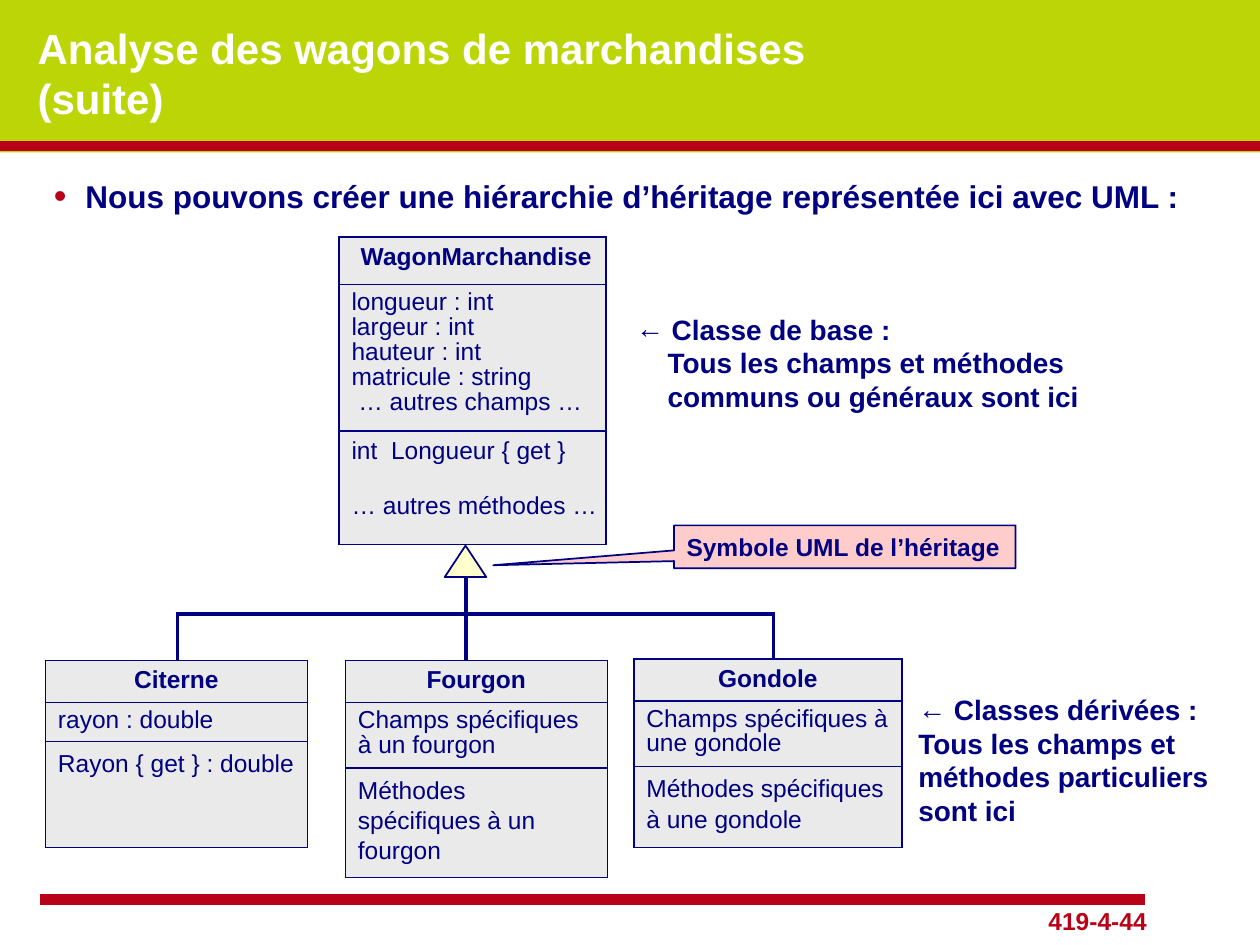
from lxml import etree
from pptx import Presentation, util as u
from pptx.dml.color import RGBColor
from pptx.enum import shapes, text
from pptx.oxml.ns import qn

COLORS = {
    "green": "BCD507", "white": "FFFFFF", "red": "B90117", "navy": "000080",
    "grey": "EAEAEA", "yellow": "FFFFCC", "pink": "FFCCCC", "black": "000000",
}
FONT = "Arial"
INSETS = (0.1, 0.05, 0.1, 0.05)
LEFT, CENTER, RIGHT = text.PP_ALIGN.LEFT, text.PP_ALIGN.CENTER, text.PP_ALIGN.RIGHT


def rgb(name):
    return RGBColor.from_string(COLORS[name])


def add_color(parent, name):
    etree.SubElement(parent, qn("a:srgbClr"), val=COLORS[name])


class SlidePainter:
    def __init__(self, page):
        self.page = page

    def background(self, color):
        fill = self.page.background.fill
        fill.solid()
        fill.fore_color.rgb = rgb(color)

    def span(self, para, words, size, bold=False, color="navy"):
        span = para.add_run()
        span.text = words
        font = span.font
        font.name, font.size, font.bold = FONT, u.Pt(size), bold
        font.color.rgb = rgb(color)
        return span

    def bullet(self, para, char, indent=0, color="navy", percent=100):
        props = para._p.get_or_add_pPr()
        props.set("marL", str(u.Inches(indent)))
        props.set("indent", str(-u.Inches(indent)))
        add_color(etree.SubElement(props, qn("a:buClr")), color)
        etree.SubElement(props, qn("a:buSzPct"), val=str(percent * 1000))
        etree.SubElement(props, qn("a:buFont"), typeface=FONT)
        etree.SubElement(props, qn("a:buChar"), char=char)

    def frame(self, owner, insets=INSETS):
        frame = owner.text_frame
        frame.word_wrap = True
        (frame.margin_left, frame.margin_top,
         frame.margin_right, frame.margin_bottom) = map(u.Inches, insets)
        return frame

    def textbox(self, place, lines, size, bold=True, color="navy", align=LEFT,
                anchor=text.MSO_ANCHOR.TOP, insets=INSETS):
        box = self.page.shapes.add_textbox(*map(u.Inches, place))
        frame = self.frame(box, insets)
        frame.vertical_anchor = anchor
        for number, line in enumerate(lines):
            para = frame.add_paragraph() if number else frame.paragraphs[0]
            para.alignment = align
            self.span(para, line, size, bold, color)
        return frame.paragraphs

    def shape(self, kind, place, fill, line=None):
        shape = self.page.shapes.add_shape(kind, *map(u.Inches, place))
        shape.shadow.inherit = False
        shape.fill.solid()
        shape.fill.fore_color.rgb = rgb(fill)
        if line:
            shape.line.color.rgb = rgb(line)
            shape.line.width = u.Pt(1)
        else:
            shape.line.fill.background()
        return shape

    def line(self, start, end, width, color="navy"):
        line = self.page.shapes.add_connector(
            shapes.MSO_CONNECTOR.STRAIGHT, *map(u.Inches, start + end))
        line.line.color.rgb = rgb(color)
        line.line.width = u.Pt(width)
        etree.SubElement(line._element.spPr, qn("a:effectLst"))

    def borders(self, cell):
        props = cell._tc.get_or_add_tcPr()
        for index, side in enumerate(("lnL", "lnR", "lnT", "lnB")):
            edge = etree.Element(qn("a:" + side), w=str(u.Pt(1)))
            add_color(etree.SubElement(edge, qn("a:solidFill")), "navy")
            props.insert(index, edge)

    def uml_class(self, place, heights, name, fields, methods,
                  right=0.1, method_spacing=1.1, method_gap=0):
        """Draw a UML class as a table of name, fields and methods."""
        left, top, width = place
        table = self.page.shapes.add_table(
            3, 1, *map(u.Inches, (left, top, width, sum(heights)))).table
        table.first_row = table.horz_banding = False
        parts = (([name], CENTER, 1, 0), (fields, LEFT, 0.9, 0),
                 (methods, LEFT, method_spacing, method_gap))
        for row, (lines, align, spacing, gap) in enumerate(parts):
            table.rows[row].height = u.Inches(heights[row])
            cell = table.cell(row, 0)
            cell.fill.solid()
            cell.fill.fore_color.rgb = rgb("grey")
            self.borders(cell)
            cell.margin_left, cell.margin_right = u.Inches(0.1), u.Inches(right)
            cell.margin_top = cell.margin_bottom = u.Inches(0.05)
            for number, line in enumerate(lines):
                para = (cell.text_frame.add_paragraph() if number
                        else cell.text_frame.paragraphs[0])
                para.alignment, para.line_spacing = align, spacing
                if number:
                    para.space_before = u.Pt(gap)
                self.span(para, line, 14, bold=row == 0)

    def text_shadow(self, span):
        effects = etree.Element(qn("a:effectLst"))
        shadow = etree.SubElement(effects, qn("a:outerShdw"), dist="38100",
                                  dir="2700000", algn="tl")
        add_color(shadow, "black")
        span.font._element.find(qn("a:solidFill")).addnext(effects)


def main():
    deck = Presentation()
    deck.slide_width, deck.slide_height = u.Inches(10), u.Inches(7.5)
    page = deck.slides.add_slide(deck.slide_layouts[6])
    painter = SlidePainter(page)
    kinds = shapes.MSO_SHAPE

    painter.background("green")
    painter.shape(kinds.RECTANGLE, (0, 1.21, 10, 6.29), "white")
    painter.textbox((7.62, 7.14, 1.58, 0.33), ["419-4-44"], 14,
                    color="red", align=RIGHT)
    painter.line((0.32, 7.14), (9.09, 7.14), 6, "red")
    painter.line((0, 1.16), (10, 1.16), 6, "red")

    title = painter.textbox(
        (0.2, 0.18, 8.52, 0.79),
        ["Analyse des wagons de marchandises", "(suite)"], 24,
        color="white", anchor=text.MSO_ANCHOR.MIDDLE)
    for para in title:
        painter.text_shadow(para.runs[0])

    intro = painter.textbox(
        (0.33, 1.36, 9.31, 0.4),
        ["Nous pouvons créer une hiérarchie d’héritage représentée ici avec UML :"], 18)
    painter.bullet(intro[0], "•", 0.25, "red", 115)

    painter.uml_class(
        (2.69, 1.88, 2.12), (0.38, 1.16, 0.9), "WagonMarchandise",
        ["longueur : int", "largeur : int", "hauteur : int",
         "matricule : string", " … autres champs …"],
        ["int  Longueur { get }", "… autres méthodes …"],
        right=0.04, method_spacing=1, method_gap=16)
    painter.uml_class((0.36, 5.24, 2.08), (0.33, 0.31, 0.84), "Citerne",
                      ["rayon : double"], ["Rayon { get } : double"])
    painter.uml_class((2.74, 5.24, 2.08), (0.32, 0.5, 0.81), "Fourgon",
                      ["Champs spécifiques à un fourgon"],
                      ["Méthodes spécifiques à un fourgon"])
    painter.uml_class((5.03, 5.23, 2.13), (0.32, 0.5, 0.64), "Gondole",
                      ["Champs spécifiques à une gondole"],
                      ["Méthodes spécifiques à une gondole"])

    painter.line((1.41, 4.87), (1.41, 5.24), 2)
    painter.line((6.14, 4.87), (6.14, 5.23), 2)
    painter.line((1.4, 4.87), (6.15, 4.87), 2.25)
    painter.line((3.7, 4.59), (3.7, 5.24), 2.25)
    painter.shape(kinds.ISOSCELES_TRIANGLE, (3.53, 4.33, 0.33, 0.25),
                  "yellow", "navy")

    callout = painter.shape(kinds.RECTANGULAR_CALLOUT, (5.35, 4.17, 2.71, 0.34),
                            "pink", "navy")
    callout.adjustments[0], callout.adjustments[1] = -1.03, 0.43
    para = painter.frame(callout).paragraphs[0]
    para.alignment = LEFT
    painter.span(para, "Symbole UML de l’héritage", 14, bold=True)

    base = painter.textbox(
        (4.95, 2.43, 3.85, 0.9),
        [" Classe de base :", "Tous les champs et méthodes",
         "communs ou généraux sont ici"], 16)
    painter.bullet(base[0], "←")
    for para in base[1:]:
        para._p.get_or_add_pPr().set("marL", str(u.Inches(0.25)))

    derived = painter.textbox(
        (7.19, 5.45, 2.63, 1.17),
        [" Classes dérivées :", "Tous les champs et méthodes particuliers sont ici"],
        16, insets=(0.1, 0.05, 0.06, 0.05))
    painter.bullet(derived[0], "←")

    deck.save("out.pptx")


if __name__ == "__main__":
    main()
